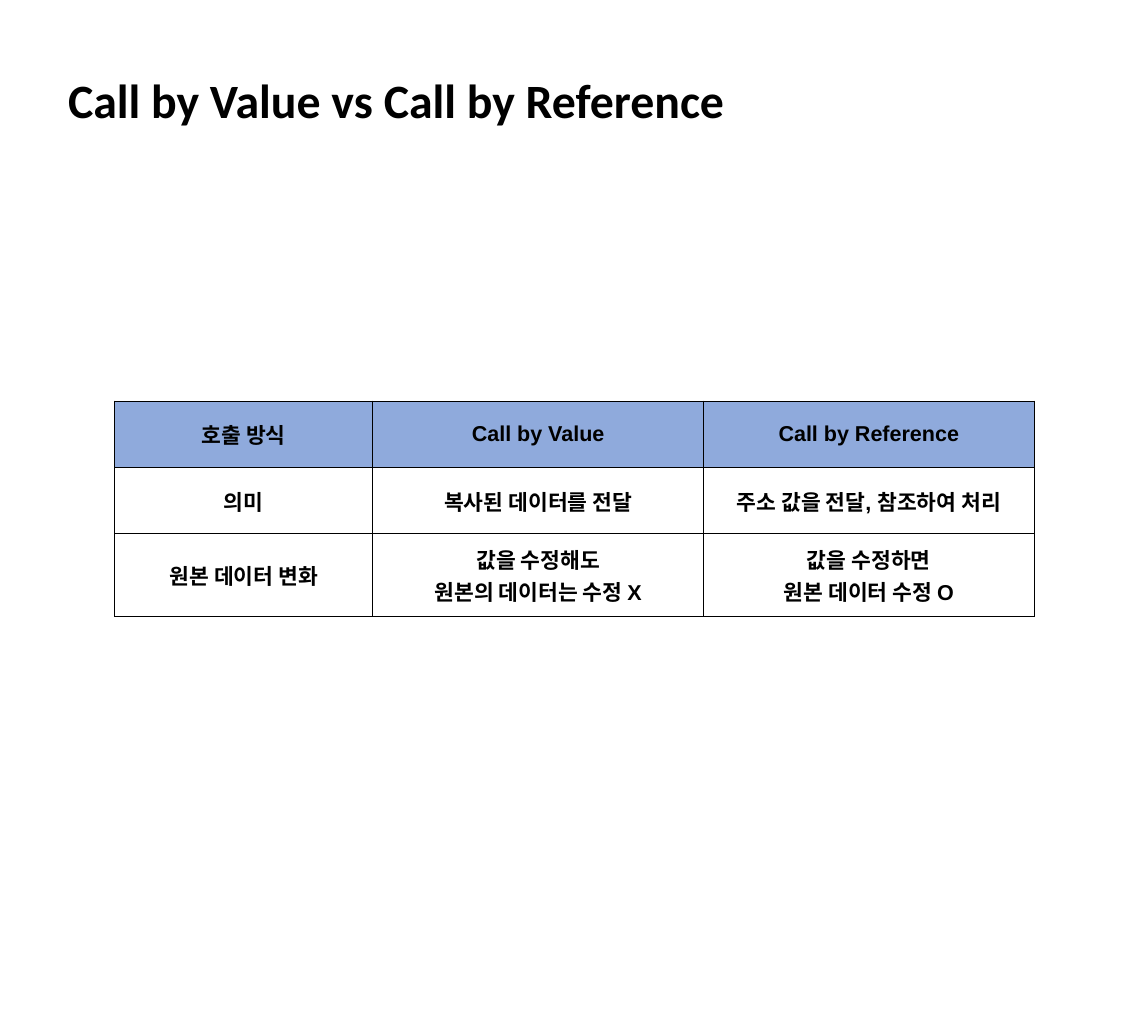
from lxml.etree import SubElement
from pptx import Presentation
from pptx.dml.color import RGBColor
from pptx.enum.text import MSO_ANCHOR, MSO_AUTO_SIZE, PP_ALIGN
from pptx.oxml.ns import qn
from pptx.util import Pt

TITLE = "Call by Value vs Call by Reference"
ROWS = [
    [["호출 방식"], ["Call by Value"], ["Call by Reference"]],
    [["의미"], ["복사된 데이터를 전달"], ["주소 값을 전달, 참조하여 처리"]],
    [["원본 데이터 변화"],
     ["값을 수정해도", "원본의 데이터는 수정 X"],
     ["값을 수정하면", "원본 데이터 수정 O"]],
]
WIDTHS = [216, 276.5, 276.5]
HEIGHTS = [55.4, 55.4, 69.2]
COLORS = {"text": "000000", "line": "000000", "head": "8FAADC"}


def write(frame, lines, font, size, align):
    """Put each line in its own bold paragraph."""
    for i, line in enumerate(lines):
        para = frame.paragraphs[0] if i == 0 else frame.add_paragraph()
        para.alignment = align
        run = para.add_run()
        run.text = line
        run.font.name = font
        run.font.size = Pt(size)
        run.font.bold = True
        run.font.color.rgb = RGBColor.from_string(COLORS["text"])


def border(cell):
    props = cell._tc.get_or_add_tcPr()
    for side in ("a:lnL", "a:lnR", "a:lnT", "a:lnB"):
        line = SubElement(props, qn(side), w=str(Pt(1)))
        fill = SubElement(line, qn("a:solidFill"))
        SubElement(fill, qn("a:srgbClr"), val=COLORS["line"])


def add_title(slide):
    title = slide.shapes.title
    title.left, title.top = Pt(49.7), Pt(55.4)
    title.width, title.height = Pt(569.5), Pt(55.4)
    frame = title.text_frame
    frame.word_wrap = False
    frame.auto_size = MSO_AUTO_SIZE.SHAPE_TO_FIT_TEXT
    frame.vertical_anchor = MSO_ANCHOR.TOP
    write(frame, [TITLE], "Calibri", 40, PP_ALIGN.LEFT)


def add_grid(slide):
    table = slide.shapes.add_table(
        len(ROWS), len(WIDTHS), Pt(95.8), Pt(335.5),
        Pt(sum(WIDTHS)), Pt(sum(HEIGHTS))).table
    table.horz_banding = False
    for col, width in zip(table.columns, WIDTHS):
        col.width = Pt(width)
    for r, row in enumerate(ROWS):
        table.rows[r].height = Pt(HEIGHTS[r])
        for c, lines in enumerate(row):
            cell = table.cell(r, c)
            cell.vertical_anchor = MSO_ANCHOR.MIDDLE
            write(cell.text_frame, lines, "Arial", 18, PP_ALIGN.CENTER)
            border(cell)
            if r == 0:
                cell.fill.solid()
                cell.fill.fore_color.rgb = RGBColor.from_string(COLORS["head"])
            else:
                cell.fill.background()


def main():
    deck = Presentation()
    deck.slide_width, deck.slide_height = Pt(960), Pt(850.4)
    slide = deck.slides.add_slide(deck.slide_layouts[5])
    add_title(slide)
    add_grid(slide)
    deck.save("out.pptx")


if __name__ == "__main__":
    main()
